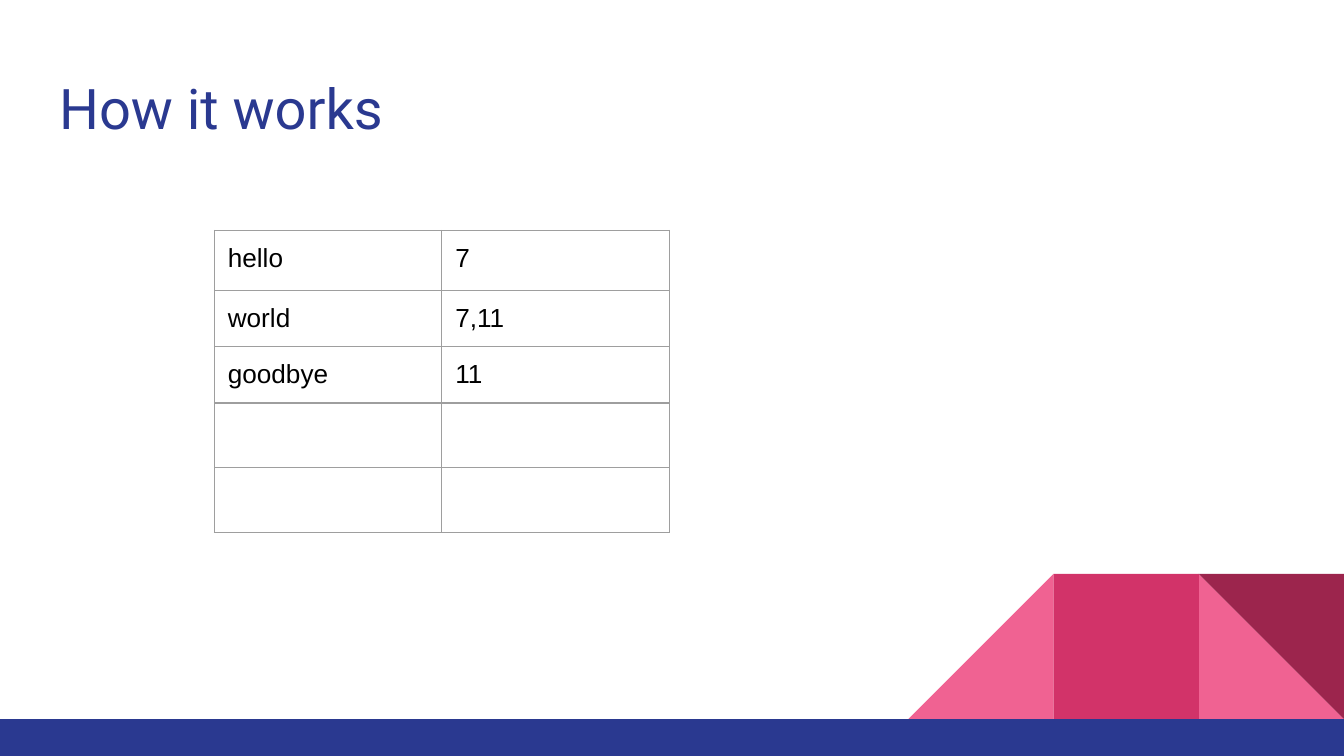
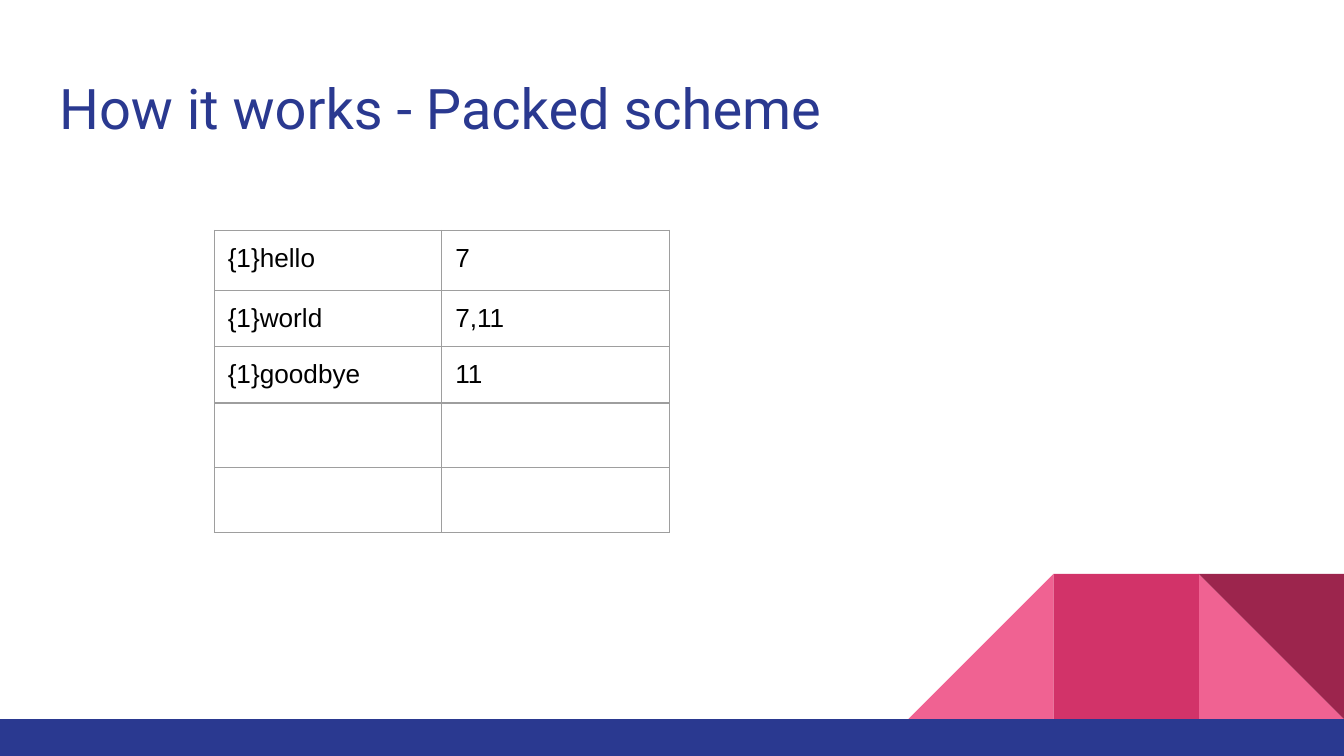
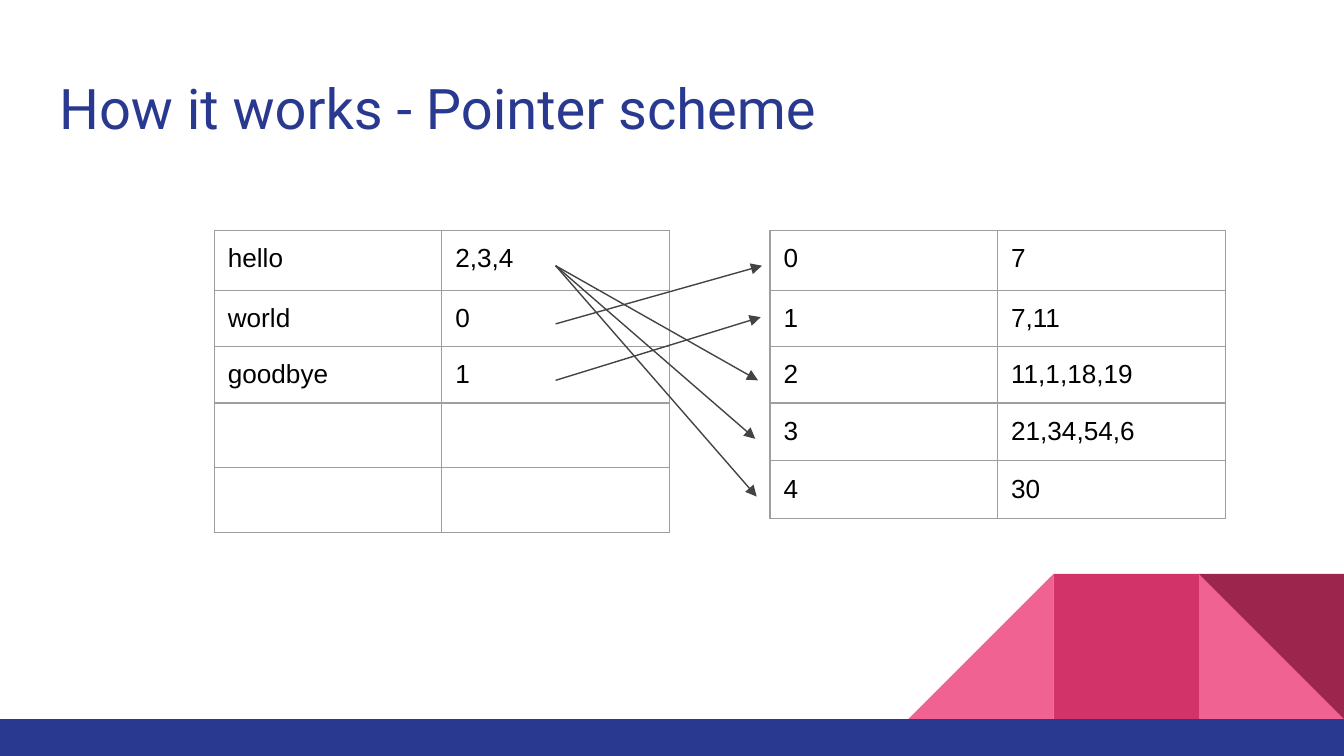
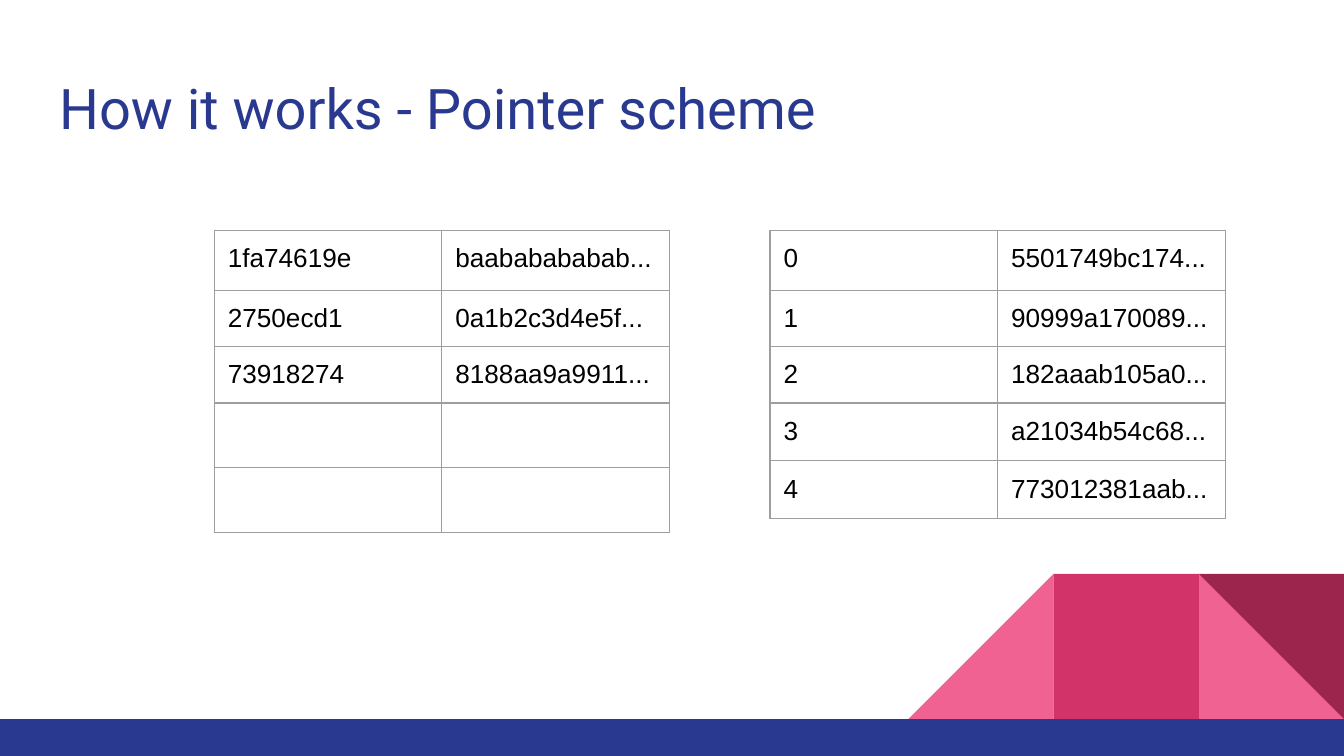
from dataclasses import dataclass
from itertools import accumulate

from lxml import etree
from pptx import Presentation
from pptx import util as u
from pptx.dml.color import RGBColor
from pptx.enum import shapes, text
from pptx.oxml.ns import qn

NAVY, PINK, ROSE, WINE = "2A3990", "F06292", "D23369", "9C254D"
BLACK, WHITE, BORDER, ARROW = "000000", "FFFFFF", "9E9E9E", "434343"
TITLE_FONT, BODY_FONT = "Roboto", "Arial"

# Grid units: the slide is 100 columns wide, and rows are as tall as columns are wide.
SLIDE_COLUMNS, SLIDE_ROWS = 100, 56.25
TABLE_COLUMN = 16.93
TABLE_ROWS = [4.45, 4.2, 4.2, 4.3, 4.3]


@dataclass
class Box:
    left: float
    top: float
    width: float
    height: float

    def lengths(self):
        return [grid(value) for value in (self.left, self.top, self.width, self.height)]


TITLE_BOX = Box(3.4, 4.5, 93.2, 6.6)
BAND_BOX = Box(0, 53.5, SLIDE_COLUMNS, 2.75)
ORNAMENT_BOX = Box(67.6, 42.7, 32.4, 10.8)
LEFT_TABLE_BOX = Box(15.95, 17.15, 2 * TABLE_COLUMN, sum(TABLE_ROWS))
RIGHT_TABLE_BOX = Box(57.3, 17.15, 2 * TABLE_COLUMN, sum(TABLE_ROWS))

# Source row, target row, gap before the right table, drop below the target row's middle.
POINTERS = [
    (0, 2, 0.9, 0.4),
    (1, 0, 0.6, 0.4),
    (2, 1, 0.7, -0.1),
    (0, 3, 1.1, 0.5),
    (0, 4, 1.0, 0.5),
]

SLIDES = [
    dict(title="How it works",
         left=[("hello", "7"), ("world", "7,11"), ("goodbye", "11")]),
    dict(title="How it works - Packed scheme",
         left=[("{1}hello", "7"), ("{1}world", "7,11"), ("{1}goodbye", "11")]),
    dict(title="How it works - Pointer scheme",
         left=[("hello", "2,3,4"), ("world", "0"), ("goodbye", "1")],
         right=["7", "7,11", "11,1,18,19", "21,34,54,6", "30"],
         pointers=POINTERS),
    dict(title="How it works - Pointer scheme",
         left=[("1fa74619e", "baababababab..."), ("2750ecd1", "0a1b2c3d4e5f..."),
               ("73918274", "8188aa9a9911...")],
         right=["5501749bc174...", "90999a170089...", "182aaab105a0...",
                "a21034b54c68...", "773012381aab..."]),
]


def grid(value):
    return u.Inches(value * 10 / SLIDE_COLUMNS)


def color(hex_string):
    return RGBColor.from_string(hex_string)


def write(frame, content, font=BODY_FONT, size=14, ink=BLACK):
    frame.word_wrap = True
    paragraph = frame.paragraphs[0]
    paragraph.alignment = text.PP_ALIGN.LEFT
    run = paragraph.add_run()
    run.text = content
    run.font.name = font
    run.font.size = u.Pt(size)
    run.font.color.rgb = color(ink)


def add_block(group, kind, box, fill):
    block = group.shapes.add_shape(kind, *box.lengths())
    block.shadow.inherit = False
    block.fill.solid()
    block.fill.fore_color.rgb = color(fill)
    block.line.fill.background()
    return block


def add_ornament(group, box):
    """Three equal squares: a triangle, a full square, and two triangles that meet."""
    side = box.width / 3
    squares = [Box(box.left + i * side, box.top, side, box.height) for i in range(3)]
    triangle = shapes.MSO_SHAPE.RIGHT_TRIANGLE
    add_block(group, triangle, squares[2], PINK)
    rising = add_block(group, triangle, squares[0], PINK)
    rising.element.spPr.xfrm.set("flipH", "1")
    add_block(group, shapes.MSO_SHAPE.RECTANGLE, squares[1], ROSE)
    add_block(group, triangle, squares[2], WINE).rotation = 180


def style_layout(layout, first_slide):
    """Draw the shared decoration on a slide, then move it to the layout."""
    background = layout.background.fill
    background.solid()
    background.fore_color.rgb = color(WHITE)
    for placeholder in list(layout.placeholders):
        if placeholder.placeholder_format.type == shapes.PP_PLACEHOLDER.TITLE:
            title = placeholder
        else:
            layout.shapes.element.remove(placeholder.element)
    title.left, title.top, title.width, title.height = TITLE_BOX.lengths()
    group = first_slide.shapes.add_group_shape()
    add_ornament(group, ORNAMENT_BOX)
    add_block(group, shapes.MSO_SHAPE.RECTANGLE, BAND_BOX, NAVY)
    layout.shapes.element.insert(2, group.element)


def set_title(slide, content):
    frame = slide.shapes.title.text_frame
    frame.auto_size = text.MSO_AUTO_SIZE.NONE
    frame.vertical_anchor = text.MSO_ANCHOR.TOP
    frame.margin_left = frame.margin_right = grid(1)
    frame.margin_top = frame.margin_bottom = grid(1)
    write(frame, content, font=TITLE_FONT, size=30, ink=NAVY)


def add_borders(cell):
    properties = cell._tc.get_or_add_tcPr()
    for position, side in enumerate(("lnL", "lnR", "lnT", "lnB")):
        line = etree.Element(qn(f"a:{side}"), w=str(u.Pt(0.75)))
        fill = etree.SubElement(line, qn("a:solidFill"))
        etree.SubElement(fill, qn("a:srgbClr"), val=BORDER)
        properties.insert(position, line)


def keep_empty_line(cell):
    """Give an empty cell the font that sets its height."""
    ending = etree.SubElement(cell.text_frame.paragraphs[0]._p, qn("a:endParaRPr"), sz="1800")
    etree.SubElement(ending, qn("a:latin"), typeface=BODY_FONT)


def add_lookup_table(slide, box, records):
    table = slide.shapes.add_table(len(TABLE_ROWS), 2, *box.lengths()).table
    table.first_row = table.horz_banding = False
    for column in table.columns:
        column.width = grid(box.width / 2)
    for row, height in zip(table.rows, TABLE_ROWS):
        row.height = grid(height)
    blanks = [("", "")] * (len(TABLE_ROWS) - len(records))
    for row, record in zip(table.rows, records + blanks):
        for cell, content in zip(row.cells, record):
            cell.margin_left = cell.margin_right = grid(1)
            cell.margin_top = cell.margin_bottom = grid(1)
            cell.vertical_anchor = text.MSO_ANCHOR.TOP
            cell.fill.background()
            add_borders(cell)
            if content:
                write(cell.text_frame, content)
            else:
                keep_empty_line(cell)


def add_arrow(slide, start, end):
    arrow = slide.shapes.add_connector(
        shapes.MSO_CONNECTOR.STRAIGHT, *[grid(value) for value in (*start, *end)])
    arrow.line.color.rgb = color(ARROW)
    arrow.line.width = u.Pt(0.75)
    etree.SubElement(arrow.line._get_or_add_ln(), qn("a:tailEnd"), type="triangle")
    etree.SubElement(arrow.element.spPr, qn("a:effectLst"))


def add_pointers(slide, source_box, target_box, pointers):
    """Lead from the middle of the source's second column to the target's rows."""
    middles = [bottom - height / 2
               for bottom, height in zip(accumulate(TABLE_ROWS), TABLE_ROWS)]
    start_x = source_box.left + source_box.width * 0.75
    for source, target, gap, drop in pointers:
        add_arrow(slide,
                  (start_x, source_box.top + middles[source] + 0.4),
                  (target_box.left - gap, target_box.top + middles[target] + drop))


def fill_slide(slide, title, left, right=(), pointers=()):
    set_title(slide, title)
    add_lookup_table(slide, LEFT_TABLE_BOX, left)
    if right:
        numbered = [(str(number), value) for number, value in enumerate(right)]
        add_lookup_table(slide, RIGHT_TABLE_BOX, numbered)
    add_pointers(slide, LEFT_TABLE_BOX, RIGHT_TABLE_BOX, pointers)


def main():
    presentation = Presentation()
    presentation.slide_width = grid(SLIDE_COLUMNS)
    presentation.slide_height = grid(SLIDE_ROWS)
    layout = presentation.slide_layouts.get_by_name("Title Only")
    slides = [presentation.slides.add_slide(layout) for _ in SLIDES]
    style_layout(layout, slides[0])
    for slide, content in zip(slides, SLIDES):
        fill_slide(slide, **content)
    presentation.save("out.pptx")


if __name__ == "__main__":
    main()
